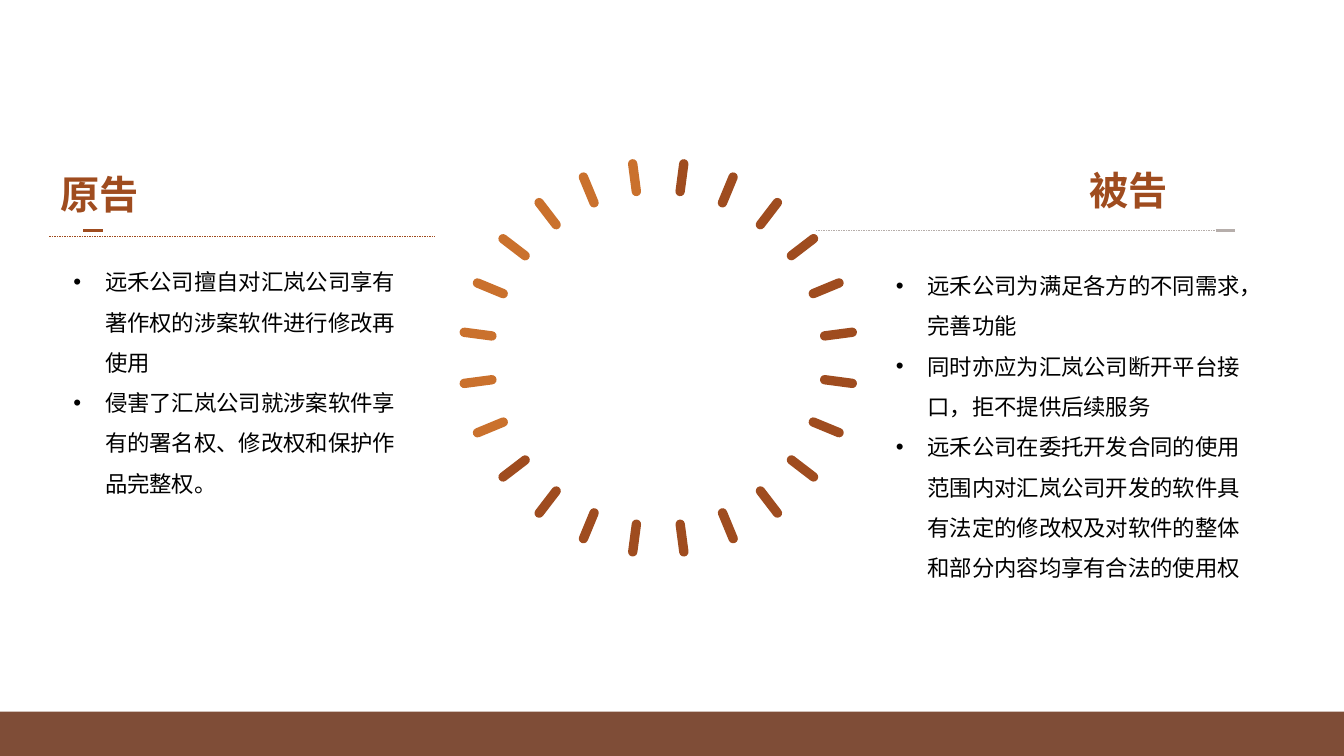
from math import cos, radians, sin

from lxml.etree import SubElement
from pptx import Presentation
from pptx.dml.color import RGBColor
from pptx.enum.dml import MSO_LINE
from pptx.enum.shapes import MSO_CONNECTOR, MSO_SHAPE
from pptx.oxml.ns import qn
from pptx.util import Pt

RUST, ORANGE, GREY, BROWN, BLACK = "9F4C1F", "CA712D", "B6AEAB", "7F4D37", "000000"
FONT = "Arial"

# Boxes are left, top, width, height; rules and accents are x1, x2, y.
PARTIES = [
    {
        "heading": "原告",
        "heading_box": (43.2, 121.7, 152, 33.8),
        "rule": (35.3, 311, 168.5),
        "accent": (73.4, 59, 164.9),
        "line_color": RUST,
        "claims_box": (45.4, 178.6, 255.6, 236.2),
        "claims": [
            "远禾公司擅自对汇岚公司享有著作权的涉案软件进行修改再使用",
            "侵害了汇岚公司就涉案软件享有的署名权、修改权和保护作品完整权。",
        ],
    },
    {
        "heading": "被告",
        "heading_box": (778.3, 118.8, 118.8, 33.8),
        "rule": (882, 582.5, 164.2),
        "accent": (868.3, 882, 164.9),
        "line_color": GREY,
        "claims_box": (632.9, 181.4, 262.1, 265.7),
        "claims": [
            "远禾公司为满足各方的不同需求，完善功能",
            "同时亦应为汇岚公司断开平台接口，拒不提供后续服务",
            "远禾公司在委托开发合同的使用范围内对汇岚公司开发的软件具"
            "有法定的修改权及对软件的整体和部分内容均享有合法的使用权",
        ],
    },
]

SLIDE_W, SLIDE_H = 960, 540
FOOTER_TOP = 508.3
TICK_COUNT, ORANGE_FROM = 24, 16
RING_X, RING_Y, RING_RADIUS = 470.2, 255.6, 129.8
TICK_W, TICK_H = 6.7, 26.6
INDENT = 22.5

prs = Presentation()
prs.slide_width, prs.slide_height = Pt(SLIDE_W), Pt(SLIDE_H)
slide = prs.slides.add_slide(prs.slide_layouts[6])


def rgb(color):
    return RGBColor.from_string(color)


def add_block(preset, box, color):
    block = slide.shapes.add_shape(preset, *map(Pt, box))
    block.shadow.inherit = False
    block.fill.solid()
    block.fill.fore_color.rgb = rgb(color)
    block.line.fill.background()
    return block


def add_level_line(ends, color, width, dash=None):
    x1, x2, y = ends
    line = slide.shapes.add_connector(
        MSO_CONNECTOR.STRAIGHT, Pt(x1), Pt(y), Pt(x2), Pt(y))
    line.line.color.rgb = rgb(color)
    line.line.width = Pt(width)
    if dash:
        line.line.dash_style = dash
    SubElement(line._element.spPr, qn("a:effectLst"))


def add_text(box, lines, size, color, bold=False, bulleted=False):
    frame = slide.shapes.add_textbox(*map(Pt, box)).text_frame
    frame.word_wrap = True
    frame.text = "\n".join(lines)
    for paragraph in frame.paragraphs:
        if bulleted:
            paragraph.line_spacing = 1.5
            props = paragraph._p.get_or_add_pPr()
            props.set("marL", str(Pt(INDENT)))
            props.set("indent", str(-Pt(INDENT)))
            SubElement(props, qn("a:buFont")).set("typeface", FONT)
            SubElement(props, qn("a:buChar")).set("char", "•")
        for run in paragraph.runs:
            run.font.name = FONT
            run.font.size = Pt(size)
            run.font.bold = bold
            run.font.color.rgb = rgb(color)
    return frame


for party in PARTIES:
    add_level_line(party["rule"], party["line_color"], 0.25, MSO_LINE.DASH)
    add_level_line(party["accent"], party["line_color"], 2)
    heading = add_text(party["heading_box"], [party["heading"]], 28, RUST, bold=True)
    heading.margin_left = heading.margin_right = 0
    heading.margin_top = heading.margin_bottom = 0
    add_text(party["claims_box"], party["claims"], 16, BLACK, bulleted=True)

# Ticks run clockwise from the top, half a step off the vertical.
for index in range(TICK_COUNT):
    angle = (index + 0.5) * 360 / TICK_COUNT
    x = RING_X + RING_RADIUS * sin(radians(angle))
    y = RING_Y - RING_RADIUS * cos(radians(angle))
    tick = add_block(
        MSO_SHAPE.ROUNDED_RECTANGLE,
        (x - TICK_W / 2, y - TICK_H / 2, TICK_W, TICK_H),
        ORANGE if index >= ORANGE_FROM else RUST)
    tick.adjustments[0] = 0.5
    tick.rotation = angle

add_block(MSO_SHAPE.RECTANGLE, (0, FOOTER_TOP, SLIDE_W, SLIDE_H - FOOTER_TOP), BROWN)

prs.save("out.pptx")
